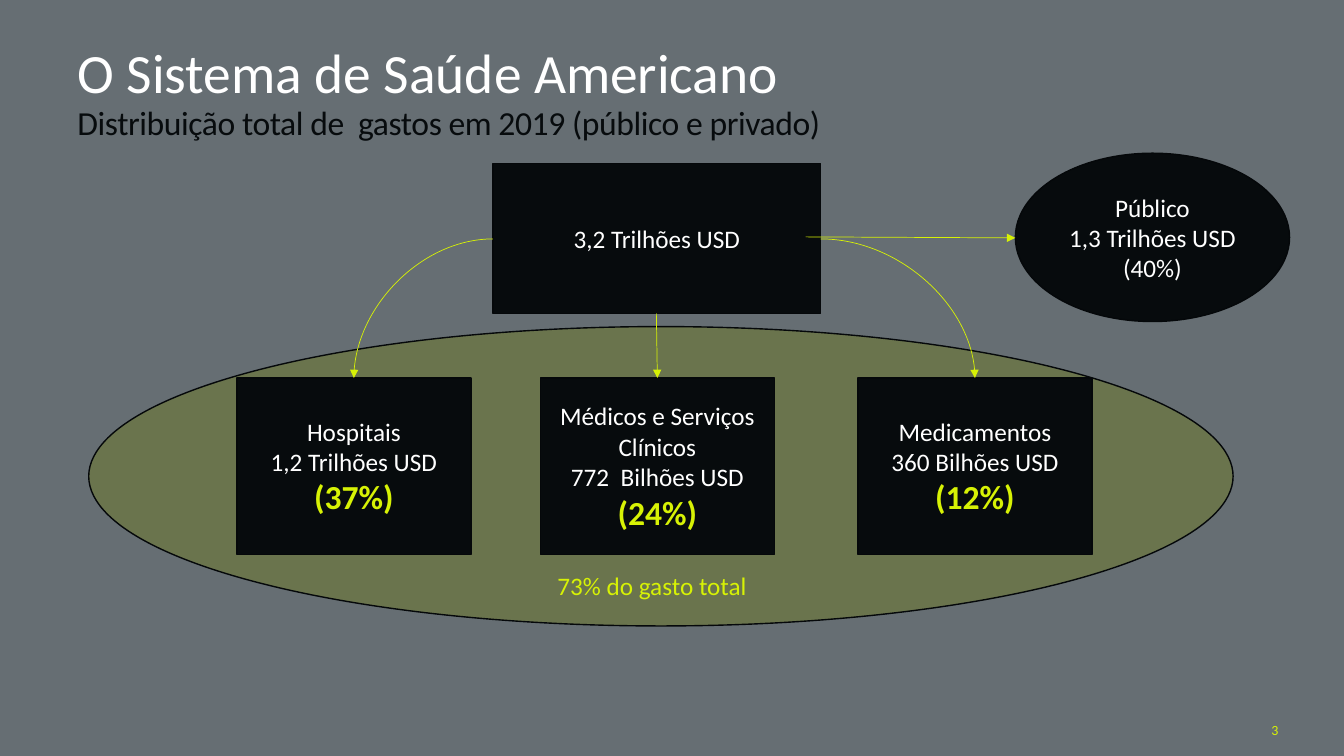
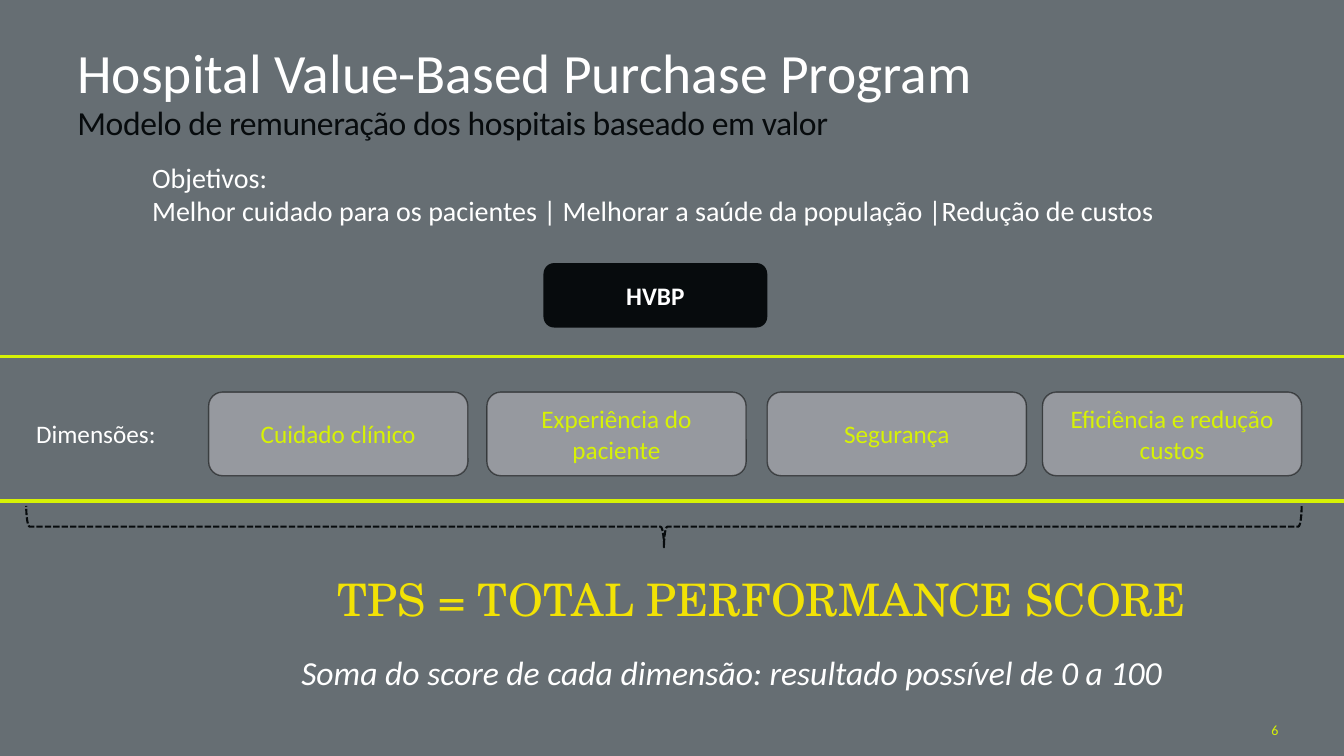
from lxml import etree
from pptx import Presentation
from pptx.dml.color import RGBColor
from pptx.enum.dml import MSO_LINE
from pptx.enum.shapes import MSO_CONNECTOR, MSO_SHAPE
from pptx.enum.text import MSO_ANCHOR, PP_ALIGN
from pptx.oxml.ns import qn
from pptx.util import Inches, Pt

ELLIPSE, RECTANGLE = MSO_SHAPE.OVAL, MSO_SHAPE.RECTANGLE
ROUNDED, BRACE = MSO_SHAPE.ROUNDED_RECTANGLE, MSO_SHAPE.RIGHT_BRACE
STRAIGHT, CURVE = MSO_CONNECTOR.STRAIGHT, MSO_CONNECTOR.CURVE
LEFT, CENTER, RIGHT = PP_ALIGN.LEFT, PP_ALIGN.CENTER, PP_ALIGN.RIGHT
TOP, MIDDLE = MSO_ANCHOR.TOP, MSO_ANCHOR.MIDDLE
DASHED = MSO_LINE.SQUARE_DOT

COLORS = {
    "background": "666E73",
    "white": "FFFFFF",
    "dark": "070B0D",
    "outline": "05080A",
    "black": "000000",
    "lime": "D7F205",
    "olive": "707D1D",
    "silver": "C3C2C8",
    "yellow": "F2E205",
}

# Text formats: "color" is a key of COLORS, the rest are font attributes
BODY = {"name": "Calibri", "size": Pt(18), "color": "white"}
TITLE = {**BODY, "size": Pt(39.6)}
SUBTITLE = {**BODY, "size": Pt(24), "color": "dark"}
LIME_BODY = {**BODY, "color": "lime"}
SHARE = {**LIME_BODY, "size": Pt(24), "bold": True}
PAGE_NUMBER = {**LIME_BODY, "size": Pt(10)}
STRONG = {**BODY, "bold": True}
GOALS = {**BODY, "size": Pt(20)}
SCORE = {"name": "TeX Gyre Schola", "size": Pt(32), "color": "yellow"}
SCORE_NOTE = {**BODY, "size": Pt(24), "italic": True}


def rgb(color):
    return RGBColor.from_string(COLORS[color])


def set_opacity(fill_parent, percent):
    color = fill_parent.find(qn("a:solidFill")).find(qn("a:srgbClr"))
    etree.SubElement(color, qn("a:alpha"), val=str(percent * 1000))


def write_text(shape, lines, align=LEFT, anchor=TOP, spacing=None):
    """Write (text, format) pairs, one paragraph each."""
    frame = shape.text_frame
    frame.word_wrap = True
    frame.vertical_anchor = anchor
    for index, (text, text_format) in enumerate(lines):
        paragraph = frame.add_paragraph() if index else frame.paragraphs[0]
        paragraph.alignment = align
        if spacing:
            paragraph.line_spacing = spacing
        run = paragraph.add_run()
        run.text = text
        for attribute, value in text_format.items():
            if attribute == "color":
                run.font.color.rgb = rgb(value)
            else:
                setattr(run.font, attribute, value)


def add_text(slide, box, lines, **layout):
    shape = slide.shapes.add_textbox(*map(Inches, box))
    write_text(shape, lines, **layout)
    return shape


def add_figure(slide, kind, box, lines=(), fill="dark", opacity=None,
               line="outline", line_width=1, line_opacity=None):
    shape = slide.shapes.add_shape(kind, *map(Inches, box))
    shape.shadow.inherit = False
    properties = shape.element.spPr
    if fill:
        shape.fill.solid()
        shape.fill.fore_color.rgb = rgb(fill)
        if opacity:
            set_opacity(properties, opacity)
    else:
        shape.fill.background()
    if line:
        shape.line.color.rgb = rgb(line)
        shape.line.width = Pt(line_width)
        if line_opacity:
            set_opacity(properties.find(qn("a:ln")), line_opacity)
    else:
        shape.line.fill.background()
    if lines:
        write_text(shape, lines, CENTER, MIDDLE)
    return shape


def add_line(slide, start, end, width, kind=STRAIGHT, arrow=False):
    connector = slide.shapes.add_connector(kind, *map(Inches, start + end))
    connector.line.color.rgb = rgb("lime")
    connector.line.width = Pt(width)
    properties = connector.element.spPr
    if kind == CURVE:  # a single quarter bend
        properties.find(qn("a:prstGeom")).set("prst", "curvedConnector2")
    if arrow:
        etree.SubElement(properties.find(qn("a:ln")), qn("a:tailEnd"), type="triangle")
    etree.SubElement(properties, qn("a:effectLst"))


def start_slide(presentation, title, subtitle, number):
    """Add a slide with the shared background, heading and page number."""
    slide = presentation.slides.add_slide(presentation.slide_layouts[6])
    slide.background.fill.solid()
    slide.background.fill.fore_color.rgb = rgb("background")
    page = add_text(slide, (10.82, 7.1, 1.86, 0.29), [(number, PAGE_NUMBER)],
                    align=RIGHT, anchor=MIDDLE)
    for side in ("left", "top", "right", "bottom"):
        setattr(page.text_frame, f"margin_{side}", 0)
    heading = add_text(slide, (0.67, 1.01, 12, 0.36), [(subtitle, SUBTITLE)], spacing=0.9)
    run = heading.text_frame.paragraphs[0].runs[0]
    run.font._element.set("spc", "-30")
    add_text(slide, (0.67, 0.44, 12, 0.61), [(title, TITLE)], anchor=MIDDLE, spacing=0.9)
    return slide


def build_spending(presentation):
    slide = start_slide(presentation, "O Sistema de Saúde Americano",
                        "Distribuição total de  gastos em 2019 (público e privado)", "3")
    add_figure(slide, ELLIPSE, (0.88, 3.24, 11.35, 2.97), fill="olive", opacity=43)

    # Total and its three main destinations
    add_figure(slide, RECTANGLE, (4.89, 1.62, 3.25, 1.49), [("3,2 Trilhões USD", BODY)])
    destinations = [
        (2.35, "Hospitais", "1,2 Trilhões USD", "(37%)"),
        (5.36, "Médicos e Serviços Clínicos", "772  Bilhões USD", "(24%)"),
        (8.51, "Medicamentos", "360 Bilhões USD", "(12%)"),
    ]
    for left, name, amount, share in destinations:
        add_figure(slide, RECTANGLE, (left, 3.75, 2.32, 1.75),
                   [(name, BODY), (amount, BODY), (share, SHARE)])
    add_text(slide, (5.43, 5.61, 2.28, 0.4), [("73% do gasto total", LIME_BODY)])

    # Public share
    public = ("Público", "1,3 Trilhões USD", "(40%)")
    add_figure(slide, ELLIPSE, (10.07, 1.52, 2.72, 1.67), [(text, BODY) for text in public])

    # Arrows
    arrows = [
        ((4.89, 2.37), (3.51, 3.75), CURVE),
        ((8.14, 2.37), (9.67, 3.75), CURVE),
        ((6.51, 3.11), (6.52, 3.75), STRAIGHT),
        ((7.99, 2.35), (10.07, 2.36), STRAIGHT),
    ]
    for start, end, kind in arrows:
        add_line(slide, start, end, 0.5, kind, arrow=True)


def build_program(presentation):
    slide = start_slide(presentation, "Hospital Value-Based Purchase Program",
                        "Modelo de remuneração dos hospitais baseado em valor", "6")
    add_figure(slide, ROUNDED, (5.39, 2.61, 2.22, 0.64), [("HVBP", STRONG)], line=None)
    goals = ("Objetivos:",
             "Melhor cuidado para os pacientes | Melhorar a saúde da população |Redução de custos")
    add_text(slide, (1.41, 1.54, 10.35, 0.8), [(text, GOALS) for text in goals])

    # Band of dimensions
    for top in (3.54, 4.97):
        add_line(slide, (0, top), (13.33, top), 2.25)
    dimensions = [
        (2.07, "Cuidado clínico"),
        (4.83, "Experiência do paciente"),
        (7.61, "Segurança"),
        (10.34, "Eficiência e redução custos"),
    ]
    for left, name in dimensions:
        add_figure(slide, ROUNDED, (left, 3.89, 2.57, 0.83), [(name, LIME_BODY)],
                   fill="silver", opacity=52, line="black", line_opacity=50)
    add_text(slide, (0.26, 4.1, 1.75, 0.4), [("Dimensões:", BODY)])

    # Brace leading to the total score
    brace = add_figure(slide, BRACE, (6.38, -1.1, 0.41, 12.65), fill=None,
                       line="dark", line_width=1.5)
    brace.rotation = 90
    brace.line.dash_style = DASHED
    add_text(slide, (3.25, 5.62, 9.9, 0.64), [("TPS = TOTAL PERFORMANCE SCORE", SCORE)])
    add_text(slide, (2.89, 6.42, 10, 0.5),
             [("Soma do score de cada dimensão: resultado possível de 0 a 100", SCORE_NOTE)])


def main():
    presentation = Presentation()
    presentation.slide_width = Inches(13.33)
    presentation.slide_height = Inches(7.5)
    build_spending(presentation)
    build_program(presentation)
    presentation.save("out.pptx")


if __name__ == "__main__":
    main()
